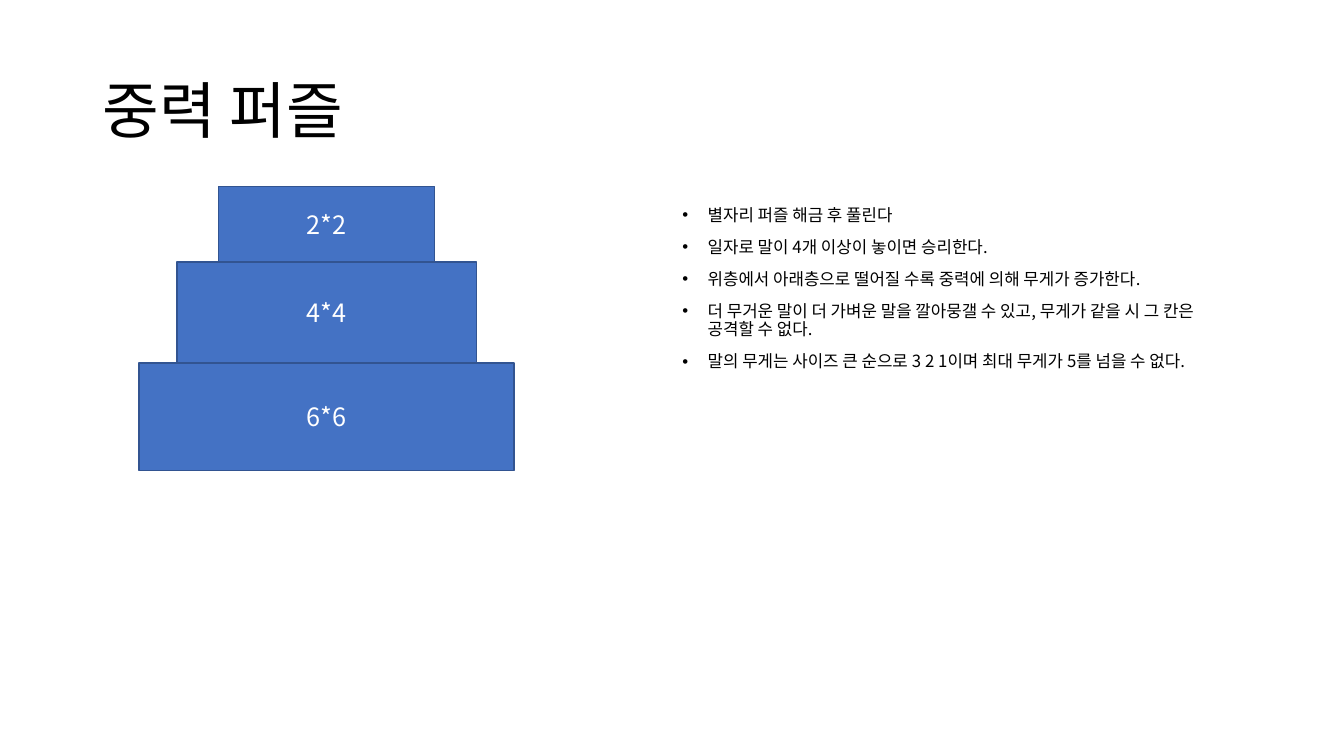
"""Build the gravity puzzle slide with its three-layer board and rules."""
from lxml.etree import SubElement
from pptx import Presentation
from pptx.dml.color import RGBColor
from pptx.enum.shapes import MSO_SHAPE
from pptx.enum.text import MSO_ANCHOR, PP_ALIGN
from pptx.oxml.ns import qn
from pptx.util import Inches, Pt

BLACK = RGBColor(0x00, 0x00, 0x00)
WHITE = RGBColor(0xFF, 0xFF, 0xFF)
LAYER_FILL = RGBColor(0x44, 0x72, 0xC4)
LAYER_LINE = RGBColor(0x32, 0x54, 0x91)

RULES = [
    "별자리 퍼즐 해금 후 풀린다",
    "일자로 말이 4개 이상이 놓이면 승리한다.",
    "위층에서 아래층으로 떨어질 수록 중력에 의해 무게가 증가한다.",
    "더 무거운 말이 더 가벼운 말을 깔아뭉갤 수 있고, 무게가 같을 시 그 칸은 공격할 수 없다.",
    "말의 무게는 사이즈 큰 순으로 3 2 1이며 최대 무게가 5를 넘을 수 없다.",
]
LAYERS = [("2*2", 2.14, 0.75), ("4*4", 2.97, 1), ("6*6", 3.72, 1.07)]
BOARD_CENTER = 3.24
BOARD_TOP = 1.85


class PuzzleSlide:
    """Hold the text style and the current slide."""

    font_name = "Noto Sans CJK KR"

    def __init__(self, presentation):
        """Add a blank slide."""
        self.slide = presentation.slides.add_slide(presentation.slide_layouts[6])

    def add_text(self, paragraph, text, size, color, **formats):
        """Put one styled run into a paragraph."""
        for name, value in formats.items():
            setattr(paragraph, name, value)
        run = paragraph.add_run()
        run.text = text
        run.font.color.rgb = color
        for name, value in {"name": self.font_name, "size": Pt(size)}.items():
            setattr(run.font, name, value)
        SubElement(run._r.get_or_add_rPr(), qn("a:ea"), typeface=self.font_name)

    def text_frame(self, left, top, width, height, anchor):
        """Add a wrapping text box and return its frame."""
        box = self.slide.shapes.add_textbox(
            Inches(left), Inches(top), Inches(width), Inches(height))
        frame = box.text_frame
        for name, value in {"word_wrap": True, "vertical_anchor": anchor}.items():
            setattr(frame, name, value)
        return frame

    def title(self, text, left, top, width, height):
        """Add the slide title."""
        frame = self.text_frame(left, top, width, height, MSO_ANCHOR.MIDDLE)
        self.add_text(frame.paragraphs[0], text, 44, BLACK, line_spacing=0.9)

    def bullets(self, texts, left, top, width, height):
        """Add a bulleted list."""
        frame = self.text_frame(left, top, width, height, MSO_ANCHOR.TOP)
        for index, text in enumerate(texts):
            paragraph = frame.add_paragraph() if index else frame.paragraphs[0]
            properties = paragraph._p.get_or_add_pPr()
            properties.set("marL", str(Inches(0.25)))
            properties.set("indent", str(Inches(-0.25)))
            SubElement(properties, qn("a:buFont"), typeface="Arial")
            SubElement(properties, qn("a:buChar"), char="•")
            self.add_text(paragraph, text, 12, BLACK, line_spacing=0.9,
                          space_before=Pt(10 if index else 0))

    def layer(self, text, left, top, width, height):
        """Add one labelled layer of the board."""
        shape = self.slide.shapes.add_shape(
            MSO_SHAPE.RECTANGLE,
            Inches(left), Inches(top), Inches(width), Inches(height))
        shape.shadow.inherit = False
        shape.fill.solid()
        shape.fill.fore_color.rgb = LAYER_FILL
        shape.line.color.rgb = LAYER_LINE
        shape.line.width = Pt(1)
        shape.text_frame.vertical_anchor = MSO_ANCHOR.MIDDLE
        self.add_text(shape.text_frame.paragraphs[0], text, 18, WHITE,
                      alignment=PP_ALIGN.CENTER)


def main():
    """Create and save the presentation."""
    presentation = Presentation()
    presentation.slide_width = Inches(13.33)
    presentation.slide_height = Inches(7.5)
    slide = PuzzleSlide(presentation)
    slide.title("중력 퍼즐", 0.92, 0.4, 11.5, 1.45)
    slide.bullets(RULES, 6.67, 2, 5.75, 4.76)
    top = BOARD_TOP
    for label, width, height in LAYERS:
        slide.layer(label, BOARD_CENTER - width / 2, top, width, height)
        top += height
    presentation.save("out.pptx")


if __name__ == "__main__":
    main()
